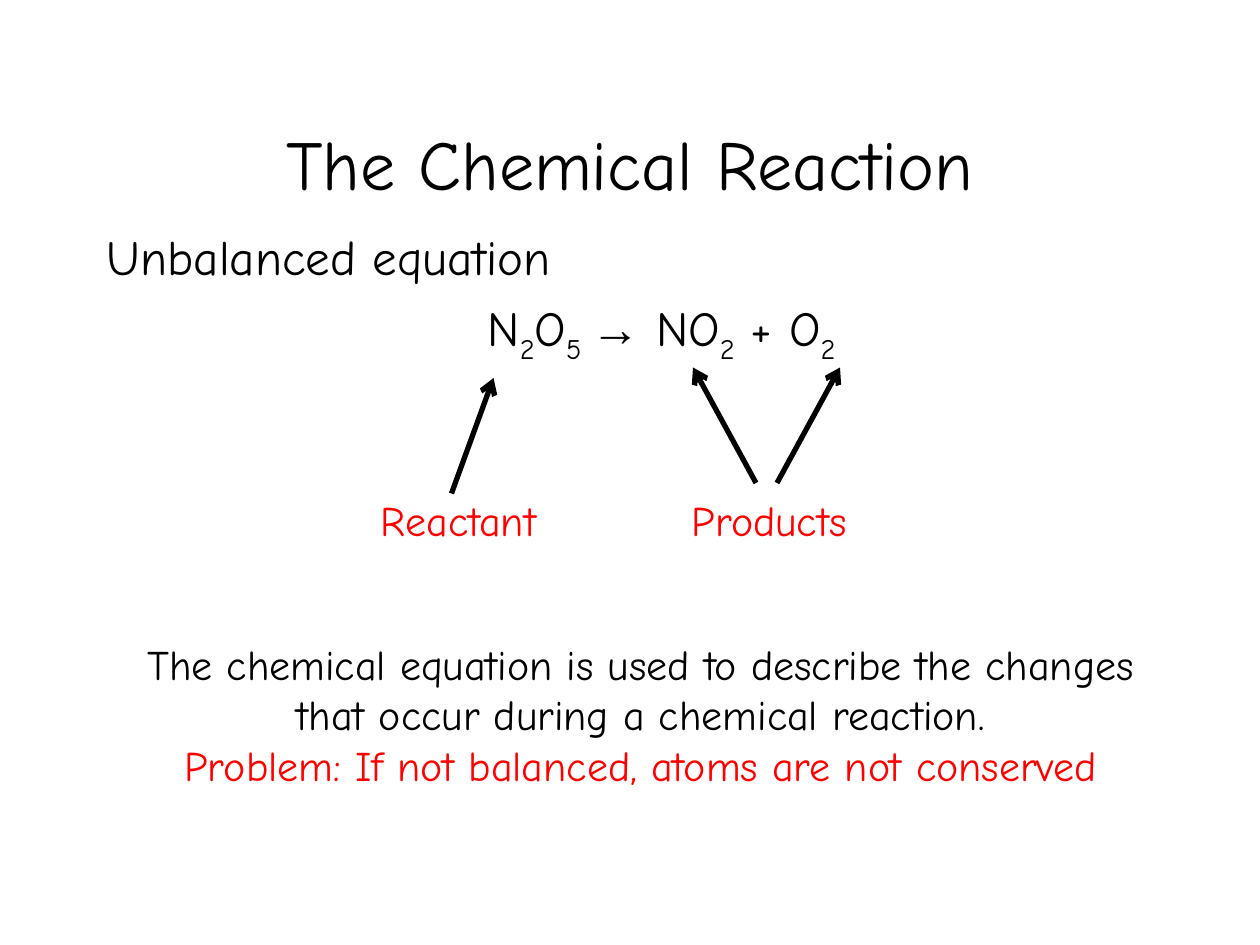
import pptx
import pptx.dml.color
import pptx.enum.shapes
import pptx.enum.text
import pptx.util
from pptx.util import Pt

BLACK, RED, WHITE = "000000", "FF0000", "FFFFFF"
CENTER = pptx.enum.text.PP_ALIGN.CENTER
MIDDLE = pptx.enum.text.MSO_ANCHOR.MIDDLE


def rgb(hex_color):
    return pptx.dml.color.RGBColor.from_string(hex_color)


def style(paragraph, size, color=BLACK, align=CENTER):
    paragraph.alignment = align
    paragraph.font.name = "Comic Neue"
    paragraph.font.size = Pt(size)
    paragraph.font.color.rgb = rgb(color)


deck = pptx.Presentation()
deck.slide_width, deck.slide_height = Pt(720), Pt(540)
slide = deck.slides.add_slide(deck.slide_layouts[6])
shapes = slide.shapes

title = shapes.add_textbox(Pt(54), Pt(48), Pt(612), Pt(90)).text_frame
title.word_wrap = True
title.vertical_anchor = MIDDLE
title.text = "The Chemical Reaction"
style(title.paragraphs[0], 40)

body = shapes.add_textbox(Pt(54), Pt(126), Pt(648), Pt(90)).text_frame
body.word_wrap = True
body.text = "Unbalanced equation"
style(body.paragraphs[0], 28, align=pptx.enum.text.PP_ALIGN.LEFT)

equation = body.add_paragraph()
style(equation, 28)
equation.space_before = Pt(7)
# Each term is a base text followed by its subscript
for base, subscript in [("N", "2"), ("O", "5 "), ("→", ""), (" NO", "2"), (" + O", "2")]:
    term = equation.add_run()
    term.text = base
    if base == "→":
        term.font.name = "Arial"
    if subscript:
        index = equation.add_run()
        index.text = subscript
        index.font._element.set("baseline", "-25000")

for role, left in [("Reactant", 176.5), ("Products", 354)]:
    label = shapes.add_textbox(Pt(left), Pt(252), Pt(171), Pt(90)).text_frame
    label.word_wrap = False
    label.vertical_anchor = MIDDLE
    label.text = role
    style(label.paragraphs[0], 24, RED)

for x1, y1, x2, y2 in [(258, 282, 282, 216), (432, 276, 396, 210), (444, 276, 480, 210)]:
    arrow = shapes.add_connector(
        pptx.enum.shapes.MSO_CONNECTOR.STRAIGHT, Pt(x1), Pt(y1), Pt(x2), Pt(y2))
    arrow.line.color.rgb = rgb(BLACK)
    arrow.line.width = Pt(3)
    line_xml = arrow.line._get_or_add_ln()
    line_xml.append(line_xml.makeelement(pptx.oxml.ns.qn("a:tailEnd"), {"type": "arrow"}))
    arrow_xml = arrow._element.spPr
    arrow_xml.append(arrow_xml.makeelement(pptx.oxml.ns.qn("a:effectLst"), {}))

summary_box = shapes.add_shape(
    pptx.enum.shapes.MSO_SHAPE.RECTANGLE, Pt(54), Pt(360), Pt(624), Pt(96))
summary_box.shadow.inherit = False
summary_box.fill.solid()
summary_box.fill.fore_color.rgb = rgb(WHITE)
summary_box.line.fill.background()
summary = summary_box.text_frame
summary.word_wrap = True
summary.vertical_anchor = MIDDLE
explanation = summary.paragraphs[0]
style(explanation, 24)
purpose = explanation.add_run()
purpose.text = ("The chemical equation is used to describe the changes "
                "that occur during a chemical reaction.")
purpose.font.color.rgb = rgb(BLACK)
explanation.add_line_break()
problem = explanation.add_run()
problem.text = "Problem: If not balanced, atoms are not conserved"
problem.font.color.rgb = rgb(RED)

deck.save("out.pptx")
